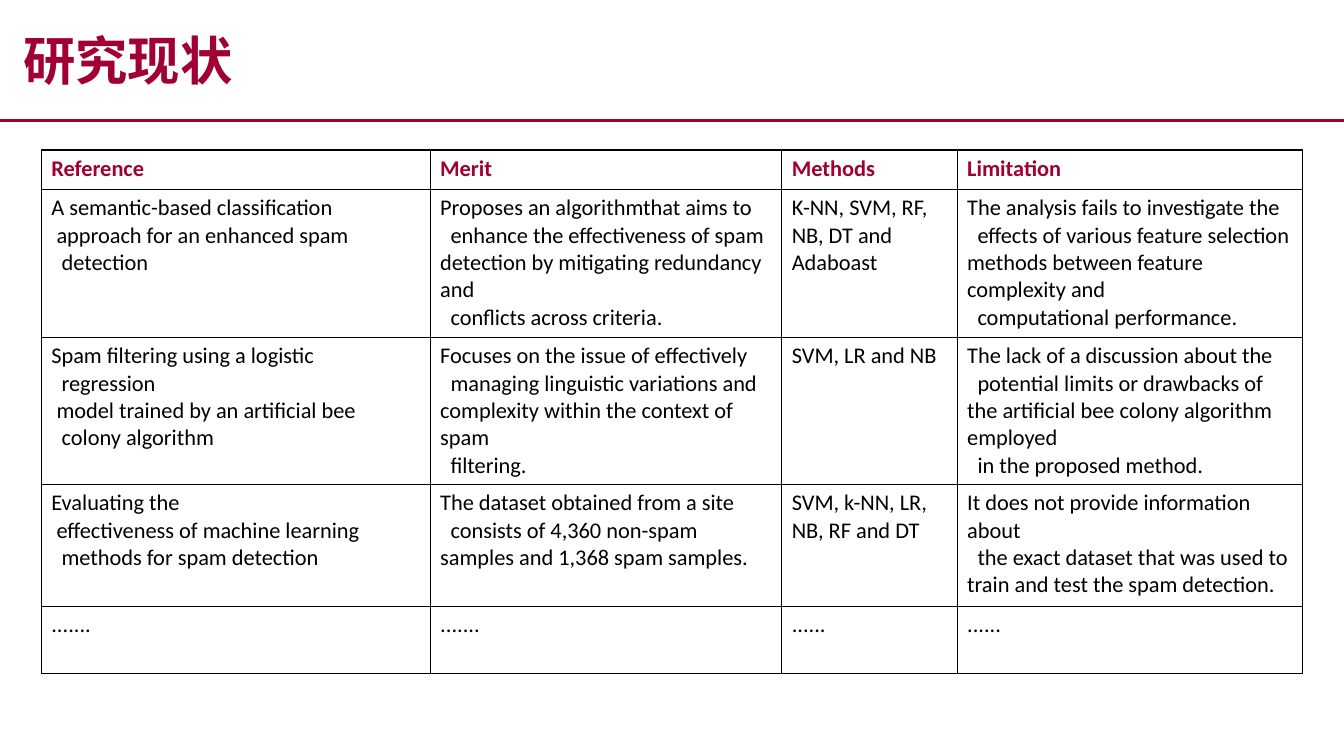
"""Build the research status slide: a title, a rule and a literature table."""
import pptx
import pptx.dml.color
import pptx.enum.shapes
import pptx.enum.text
import pptx.oxml
import pptx.oxml.ns
import pptx.util
from pptx.util import Cm

COLORS = {"accent": "A10032", "text": "000000", "paper": "FFFFFF", "border": "000000"}
COLUMN_WIDTHS = [9.8, 8.86, 4.42, 8.71]
ROW_HEIGHTS = [0.99, 3.73, 3.33, 3.07, 1.7]
INDENT_STEP = 0.13
HEADINGS = ["Reference", "Merit", "Methods", "Limitation"]
STUDIES = [
    [
        [(0, "A semantic-based classification"), (1, "approach for an enhanced spam"),
         (2, "detection")],
        [(0, "Proposes an algorithmthat aims to"),
         (2, "enhance the effectiveness of spam detection by mitigating redundancy and"),
         (2, "conflicts across criteria.")],
        [(0, "K-NN, SVM, RF, NB, DT and Adaboast")],
        [(0, "The analysis fails to investigate the"),
         (2, "effects of various feature selection methods between feature complexity and"),
         (2, "computational performance.")],
    ],
    [
        [(0, "Spam filtering using a logistic"), (2, "regression"),
         (1, "model trained by an artificial bee"), (2, "colony algorithm")],
        [(0, "Focuses on the issue of effectively"),
         (2, "managing linguistic variations and complexity within the context of spam"),
         (2, "filtering.")],
        [(0, "SVM, LR and NB")],
        [(0, "The lack of a discussion about the"),
         (2, "potential limits or drawbacks of the artificial bee colony algorithm employed"),
         (2, "in the proposed method.")],
    ],
    [
        [(0, "Evaluating the"), (1, "effectiveness of machine learning"),
         (2, "methods for spam detection")],
        [(0, "The dataset obtained from a site"),
         (2, "consists of 4,360 non-spam samples and 1,368 spam samples.")],
        [(0, "SVM, k-NN, LR, NB, RF and DT")],
        [(0, "It does not provide information about"),
         (2, "the exact dataset that was used to train and test the spam detection.")],
    ],
    [[(0, dots)] for dots in (".......", ".......", "......", "......")],
]


def rgb(name):
    return pptx.dml.color.RGBColor.from_string(COLORS[name])


def set_attributes(target, values):
    for name, value in values.items():
        setattr(target, name, value)


def add_run(paragraph, text, color, **font_values):
    run = paragraph.add_run()
    run.text = text
    set_attributes(run.font, font_values)
    run.font.color.rgb = rgb(color)
    return run


def format_title(title, text):
    set_attributes(title, {"left": Cm(0.25), "top": Cm(-0.08),
                           "width": Cm(33.58), "height": Cm(3.18)})
    frame = title.text_frame
    set_attributes(frame, {
        "margin_left": Cm(0.33), "margin_right": Cm(0.33),
        "margin_top": Cm(0.18), "margin_bottom": Cm(0.18),
        "word_wrap": True,
        "auto_size": pptx.enum.text.MSO_AUTO_SIZE.NONE,
        "vertical_anchor": pptx.enum.text.MSO_ANCHOR.MIDDLE,
    })
    paragraph = frame.paragraphs[0]
    set_attributes(paragraph, {"alignment": pptx.enum.text.PP_ALIGN.LEFT,
                               "space_before": pptx.util.Pt(0)})
    font_name = "Noto Sans CJK SC"
    run = add_run(paragraph, text, "accent", name=font_name,
                  size=pptx.util.Pt(37.4), bold=True)
    properties = run.font.fill._xPr
    latin = properties.find(pptx.oxml.ns.qn("a:latin"))
    east_asian = properties.makeelement(pptx.oxml.ns.qn("a:ea"), {"typeface": font_name})
    latin.addnext(east_asian)


def add_rule(slide, top, color, width):
    rule = slide.shapes.add_connector(
        pptx.enum.shapes.MSO_CONNECTOR.STRAIGHT, 0, top, Cm(33.87), top)
    rule.line.color.rgb = rgb(color)
    rule.line.width = pptx.util.Pt(width)
    properties = rule._element.spPr
    properties.append(properties.makeelement(pptx.oxml.ns.qn("a:effectLst"), {}))


def add_borders(cell, color, width):
    properties = cell._tc.get_or_add_tcPr()
    for position, side in enumerate(("lnL", "lnR", "lnT", "lnB")):
        border = pptx.oxml.parse_xml(
            f'<a:{side} {pptx.oxml.ns.nsdecls("a")} w="{pptx.util.Pt(width)}">'
            f'<a:solidFill><a:srgbClr val="{COLORS[color]}"/></a:solidFill></a:{side}>')
        properties.insert(position, border)


def fill_cell(cell, lines, color, bold):
    cell.fill.solid()
    cell.fill.fore_color.rgb = rgb("paper")
    add_borders(cell, "border", 1)
    frame = cell.text_frame
    for number, (level, text) in enumerate(lines):
        paragraph = frame.add_paragraph() if number else frame.paragraphs[0]
        if level:
            properties = paragraph._p.get_or_add_pPr()
            properties.set("marL", "0")
            properties.set("indent", str(Cm(level * INDENT_STEP)))
        add_run(paragraph, text, color, name="Calibri", size=pptx.util.Pt(16), bold=bold)


def add_study_table(slide):
    rows = [[[(0, heading)] for heading in HEADINGS]] + STUDIES
    frame = slide.shapes.add_table(
        len(rows), len(HEADINGS), Cm(1.04), Cm(3.78),
        Cm(sum(COLUMN_WIDTHS)), Cm(sum(ROW_HEIGHTS)))
    table = frame.table
    table.horz_banding = False
    for column, width in zip(table.columns, COLUMN_WIDTHS):
        column.width = Cm(width)
    for row, height in zip(table.rows, ROW_HEIGHTS):
        row.height = Cm(height)
    for row_number, row in enumerate(rows):
        is_header = row_number == 0
        for column_number, lines in enumerate(row):
            fill_cell(table.cell(row_number, column_number), lines,
                      "accent" if is_header else "text", is_header)


def main():
    presentation = pptx.Presentation()
    set_attributes(presentation, {"slide_width": Cm(33.87), "slide_height": Cm(19.05)})
    slide = presentation.slides.add_slide(presentation.slide_layouts[5])
    add_rule(slide, Cm(3.03), "accent", 2.25)
    add_study_table(slide)
    format_title(slide.shapes.title, "研究现状")
    presentation.save("out.pptx")


if __name__ == "__main__":
    main()
